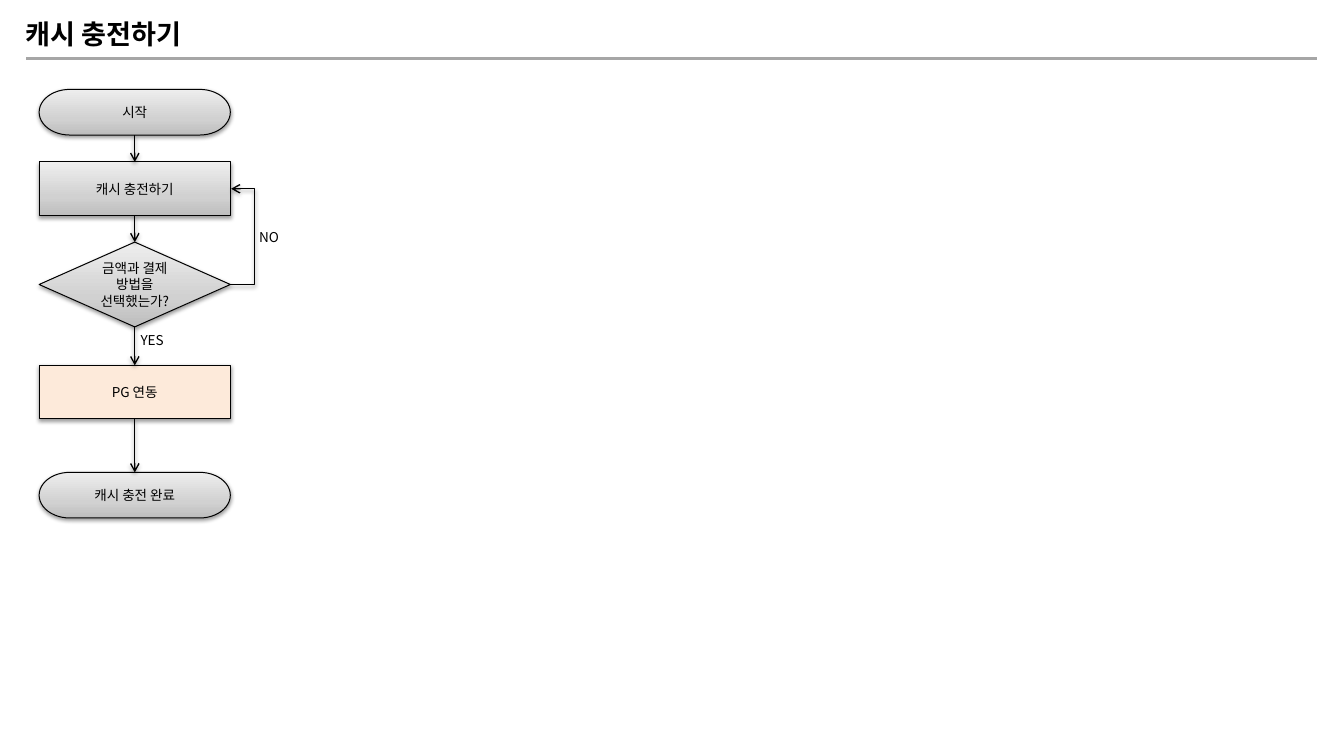
from dataclasses import dataclass

from lxml.etree import SubElement
from pptx import Presentation
from pptx.dml.color import RGBColor
from pptx.enum.shapes import MSO_CONNECTOR, MSO_SHAPE
from pptx.enum.text import MSO_ANCHOR, MSO_AUTO_SIZE, PP_ALIGN
from pptx.oxml.ns import qn
from pptx.shapes.autoshape import Shape
from pptx.shapes.connector import Connector
from pptx.slide import Slide
from pptx.text.text import TextFrame
from pptx.util import Cm, Pt

FONT = "Noto Sans CJK KR"
INCH = 2.54
BLACK = RGBColor(0x00, 0x00, 0x00)
GREY = RGBColor(0xA6, 0xA6, 0xA6)
PEACH = RGBColor(0xFD, 0xEA, 0xDA)
STOPS = (
    (0, RGBColor(0xBD, 0xBD, 0xBD)),
    (35, RGBColor(0xD1, 0xD1, 0xD1)),
    (100, RGBColor(0xEE, 0xEE, 0xEE)),
)
LEFT, WIDTH = 1.02, 4.98
RIGHT = LEFT + WIDTH
TOP_SITE, BOTTOM_SITE = 0, 2


@dataclass(frozen=True)
class Step:
    """One box of the flow, with top and height in centimetres."""

    text: str
    kind: MSO_SHAPE
    top: float
    height: float
    fill: RGBColor | None = None

    @property
    def middle(self) -> float:
        """Height of the centre of the box on the slide."""
        return self.top + self.height / 2


@dataclass(frozen=True)
class Label:
    """A free text, placed in centimetres."""

    text: str
    left: float
    top: float
    width: float
    height: float


START = Step("시작", MSO_SHAPE.FLOWCHART_TERMINATOR, 2.33, 1.19)
CHARGE = Step("캐시 충전하기", MSO_SHAPE.RECTANGLE, 4.22, 1.4)
CHOICE = Step("금액과 결제 방법을 선택했는가?", MSO_SHAPE.FLOWCHART_DECISION, 6.31, 2.21)
PAY = Step("PG 연동", MSO_SHAPE.RECTANGLE, 9.52, 1.4, PEACH)
DONE = Step("캐시 충전 완료", MSO_SHAPE.FLOWCHART_TERMINATOR, 12.31, 1.19)
STEPS = (START, CHARGE, CHOICE, PAY, DONE)

TITLE = Label("캐시 충전하기", 0.41, 0.33, 5.03, 1.12)
LABELS = (
    Label("YES", 3.41, 8.61, 1.5, 0.51),
    Label("NO", 6.5, 5.92, 1.5, 0.51),
)


def write(frame: TextFrame, text: str, size: int = 10, bold: bool = False) -> None:
    """Fill a frame with one paragraph in the slide font."""
    frame.text = text
    frame.word_wrap = True
    frame.vertical_anchor = MSO_ANCHOR.MIDDLE
    para = frame.paragraphs[0]
    font = para.font
    font.name, font.size, font.bold = FONT, Pt(size), bold
    font.color.rgb = BLACK
    props = para._p.pPr.find(qn("a:defRPr"))
    SubElement(props, qn("a:ea"), typeface=FONT)


def shade(shape: Shape) -> None:
    """Give a shape the grey gradient, light at the top."""
    shape.fill.gradient()
    shape.fill.gradient_angle = 90
    stops = shape.element.spPr.find(qn("a:gradFill")).find(qn("a:gsLst"))
    for old in list(stops):
        stops.remove(old)
    for place, color in STOPS:
        stop = SubElement(stops, qn("a:gs"), pos=str(place * 1000))
        SubElement(stop, qn("a:srgbClr"), val=str(color))


def shadow(item: Shape | Connector) -> None:
    """Add a soft shadow just below an item."""
    effects = item.element.spPr.find(qn("a:effectLst"))
    outer = SubElement(
        effects, qn("a:outerShdw"), blurRad=str(Pt(3.1)), dist=str(Pt(1.6)),
        dir="5400000", rotWithShape="0",
    )
    color = SubElement(outer, qn("a:srgbClr"), val=str(BLACK))
    SubElement(color, qn("a:alpha"), val="38000")


def add_step(slide: Slide, step: Step) -> Shape:
    """Draw one box of the flow."""
    shape = slide.shapes.add_shape(
        step.kind, Cm(LEFT), Cm(step.top), Cm(WIDTH), Cm(step.height)
    )
    if step.fill is None:
        shade(shape)
    else:
        shape.fill.solid()
        shape.fill.fore_color.rgb = step.fill
    shape.line.color.rgb = BLACK
    shape.line.width = Pt(0.75)
    shape.shadow.inherit = False
    shadow(shape)
    write(shape.text_frame, step.text)
    shape.text_frame.paragraphs[0].alignment = PP_ALIGN.CENTER
    return shape


def add_label(slide: Slide, label: Label, size: int = 10, bold: bool = False) -> Shape:
    """Draw a free text."""
    box = slide.shapes.add_textbox(
        Cm(label.left), Cm(label.top), Cm(label.width), Cm(label.height)
    )
    write(box.text_frame, label.text, size, bold)
    return box


def add_line(
    slide: Slide, kind: MSO_CONNECTOR, start: tuple[float, float],
    end: tuple[float, float], color: RGBColor, width: float,
) -> Connector:
    """Draw a connector between two points in centimetres."""
    line = slide.shapes.add_connector(kind, *map(Cm, start + end))
    line.line.color.rgb = color
    line.line.width = Pt(width)
    SubElement(line.element.spPr, qn("a:effectLst"))
    return line


def add_arrow(
    slide: Slide, kind: MSO_CONNECTOR, start: tuple[float, float],
    end: tuple[float, float],
) -> Connector:
    """Draw a black arrow with an open head at its end."""
    arrow = add_line(slide, kind, start, end, BLACK, 1)
    SubElement(arrow.element.spPr.find(qn("a:ln")), qn("a:tailEnd"), type="arrow")
    shadow(arrow)
    return arrow


def add_loop(slide: Slide) -> None:
    """Draw the way back from the choice to the charge step."""
    step, reach = 0.02, 0.63
    loop = add_arrow(
        slide, MSO_CONNECTOR.ELBOW, (RIGHT, CHOICE.middle), (RIGHT + step, CHARGE.middle)
    )
    shape = loop.element.spPr.find(qn("a:prstGeom"))
    guides = shape.find(qn("a:avLst"))
    if guides is None:
        guides = SubElement(shape, qn("a:avLst"))
    bend = round(reach / step * 100000)
    SubElement(guides, qn("a:gd"), name="adj1", fmla=f"val {bend}")


def main() -> None:
    """Build the slide and save it."""
    deck = Presentation()
    deck.slide_width, deck.slide_height = Cm(13.78 * INCH), Cm(7.5 * INCH)
    slide = deck.slides.add_slide(deck.slide_layouts[6])

    add_line(slide, MSO_CONNECTOR.STRAIGHT, (0.69, 1.52), (34.31, 1.52), GREY, 2)
    title = add_label(slide, TITLE, 20, True).text_frame
    title.word_wrap = False
    title.auto_size = MSO_AUTO_SIZE.SHAPE_TO_FIT_TEXT
    title.vertical_anchor = MSO_ANCHOR.TOP

    boxes = [add_step(slide, step) for step in STEPS]
    for upper, lower in zip(boxes, boxes[1:]):
        arrow = add_arrow(slide, MSO_CONNECTOR.STRAIGHT, (0, 0), (0, 0))
        arrow.begin_connect(upper, BOTTOM_SITE)
        arrow.end_connect(lower, TOP_SITE)
    add_loop(slide)
    for label in LABELS:
        add_label(slide, label)
    deck.save("out.pptx")


main()
